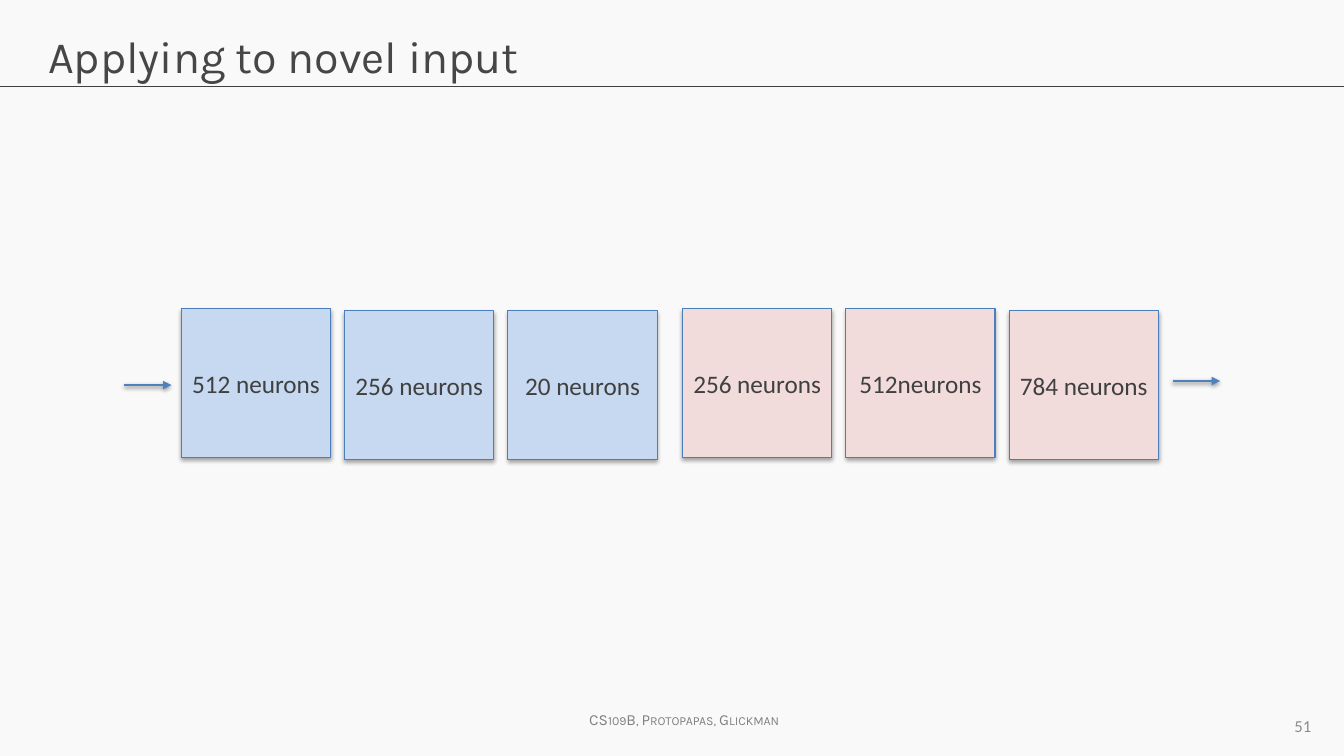
from lxml.etree import SubElement as Sub
from pptx import Presentation
from pptx.dml.color import RGBColor as RGB
from pptx.enum.shapes import MSO_CONNECTOR as Conn, MSO_SHAPE as Form
from pptx.enum.text import MSO_ANCHOR as Anchor, MSO_AUTO_SIZE as Auto, PP_ALIGN as Align
from pptx.oxml.ns import qn
from pptx.util import Inches, Pt

PAPER = RGB(0xF9, 0xF9, 0xF9)
INK = RGB(0x40, 0x40, 0x40)
HEAD = RGB(0x46, 0x46, 0x46)
GREY = RGB(0x80, 0x80, 0x80)
PALE = RGB(0x8C, 0x8C, 0x8C)
BLUE = RGB(0xC6, 0xD9, 0xF1)
PINK = RGB(0xF2, 0xDC, 0xDB)
EDGE = RGB(0x4B, 0x7E, 0xBC)
ARROW = RGB(0x4F, 0x81, 0xBD)


def write(frame, text, font="Calibri", size=18, color=INK, align=Align.LEFT,
          anchor=Anchor.TOP, wrap=True, caps=False):
    frame.word_wrap = wrap
    frame.vertical_anchor = anchor
    par = frame.paragraphs[0]
    par.alignment = align
    run = par.add_run()
    run.text = text
    run.font.name = font
    run.font.size = Pt(size)
    run.font.color.rgb = color
    if caps:
        run.font._element.set("cap", "small")


def shade(props, dist=None, alpha=0):
    """Set a soft shadow below the shape, or none without a distance."""
    effects = Sub(props, qn("a:effectLst"))
    if dist:
        outer = Sub(effects, qn("a:outerShdw"), blurRad=str(Pt(3.1)), dist=str(Pt(dist)),
                    dir="5400000", rotWithShape="0")
        black = Sub(outer, qn("a:srgbClr"), val="000000")
        Sub(black, qn("a:alpha"), val=str(alpha * 1000))


class Deck:
    """Lengths are percent of the slide's width and height."""

    def __init__(self):
        self.show = Presentation()
        self.show.slide_width = Inches(13.33)
        self.show.slide_height = Inches(7.5)
        self.slide = self.show.slides.add_slide(self.show.slide_layouts[6])
        self.slide.background.fill.solid()
        self.slide.background.fill.fore_color.rgb = PAPER

    def spot(self, x, y):
        return int(self.show.slide_width * x / 100), int(self.show.slide_height * y / 100)

    def label(self, x, y, wide, high, text, grow=False, **style):
        box = self.slide.shapes.add_textbox(*self.spot(x, y), *self.spot(wide, high))
        write(box.text_frame, text, **style)
        if grow:
            box.text_frame.auto_size = Auto.SHAPE_TO_FIT_TEXT

    def layer(self, x, y, wide, high, text, fill):
        box = self.slide.shapes.add_shape(
            Form.RECTANGLE, *self.spot(x, y), *self.spot(wide, high))
        box.fill.solid()
        box.fill.fore_color.rgb = fill
        box.line.color.rgb = EDGE
        box.line.width = Pt(0.75)
        shade(box._element.spPr, 1.8, 35)
        frame = box.text_frame
        frame.margin_left = frame.margin_right = Inches(0.05)
        write(frame, text, align=Align.CENTER, anchor=Anchor.MIDDLE)

    def line(self, start, end, y, color, width, arrow=False):
        rule = self.slide.shapes.add_connector(
            Conn.STRAIGHT, *self.spot(start, y), *self.spot(end, y))
        rule.line.color.rgb = color
        rule.line.width = Pt(width)
        props = rule._element.spPr
        if arrow:
            Sub(props.find(qn("a:ln")), qn("a:tailEnd"), type="triangle")
            shade(props, 1.6, 38)
        else:
            shade(props)


def main():
    deck = Deck()

    # Heading and rule
    deck.line(0, 100, 11.5, INK, 0.75)
    deck.label(2.85, 3.2, 94.3, 11.2, "Applying to novel input",
               font="Karla", size=32, color=HEAD)

    # Footer
    deck.label(43.1, 93.3, 16.4, 3.9, "CS109B, Protopapas, Glickman", grow=True,
               font="Karla", size=11, color=GREY, wrap=False, caps=True)
    deck.label(75, 93.3, 23.3, 5.3, "51", size=12, color=PALE,
               align=Align.RIGHT, anchor=Anchor.MIDDLE)

    # Encoder in blue, decoder in pink, with a wider gap between them
    layers = [("512 neurons", 40.8), ("256 neurons", 41.07), ("20 neurons", 41.07),
              ("256 neurons", 40.8), ("512neurons", 40.8), ("784 neurons", 41.07)]
    for i, (text, top) in enumerate(layers):
        right = i >= len(layers) // 2
        deck.layer(13.5 + 12.15 * i + 0.84 * right, top, 11.1, 19.73,
                   text, PINK if right else BLUE)

    # Input and output arrows
    for start, y in [(9.23, 50.93), (87.25, 50.4)]:
        deck.line(start, start + 3.53, y, ARROW, 2, arrow=True)

    deck.show.save("out.pptx")


if __name__ == "__main__":
    main()
